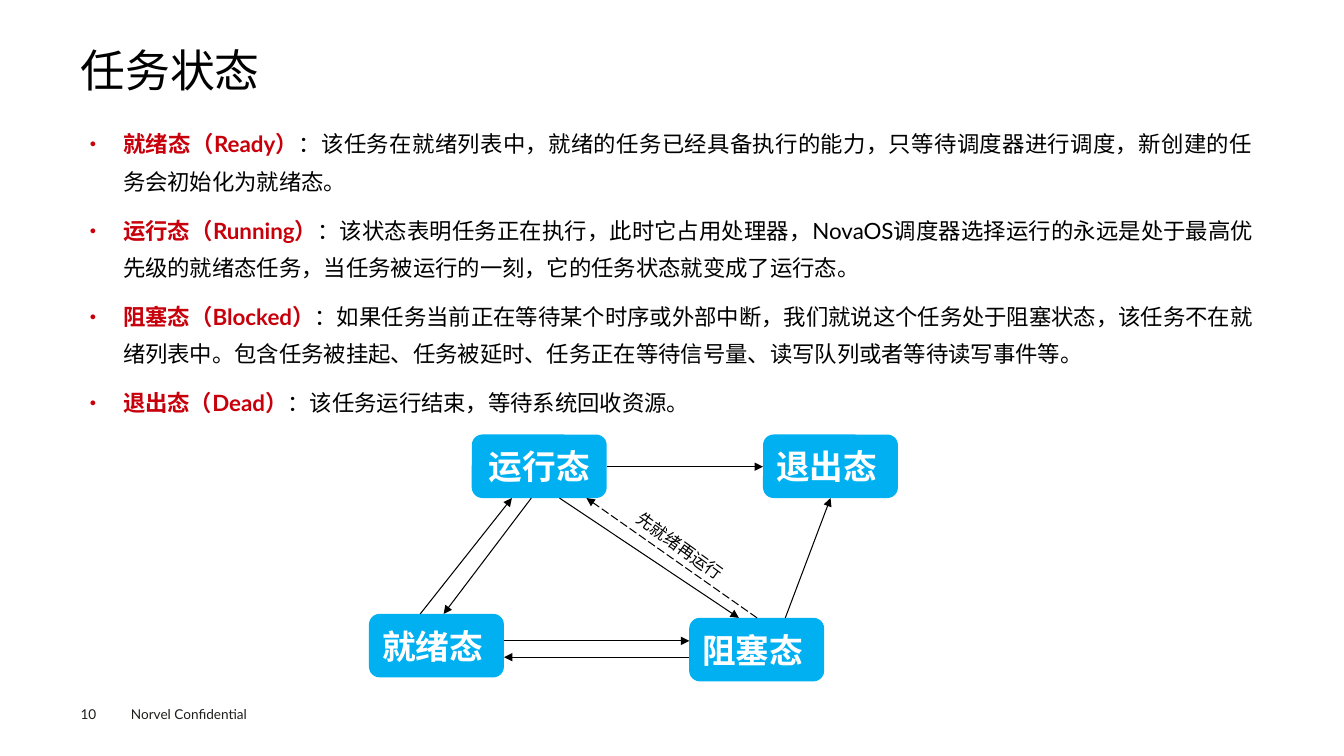
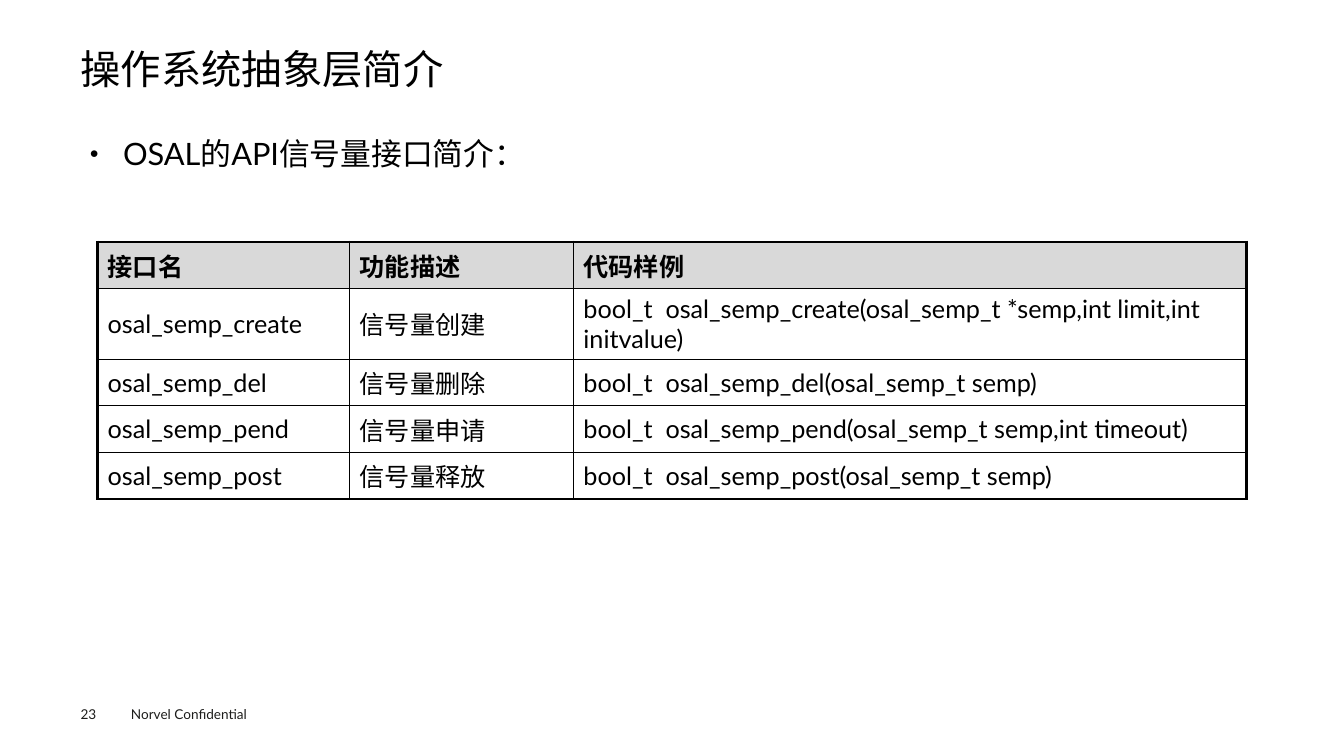
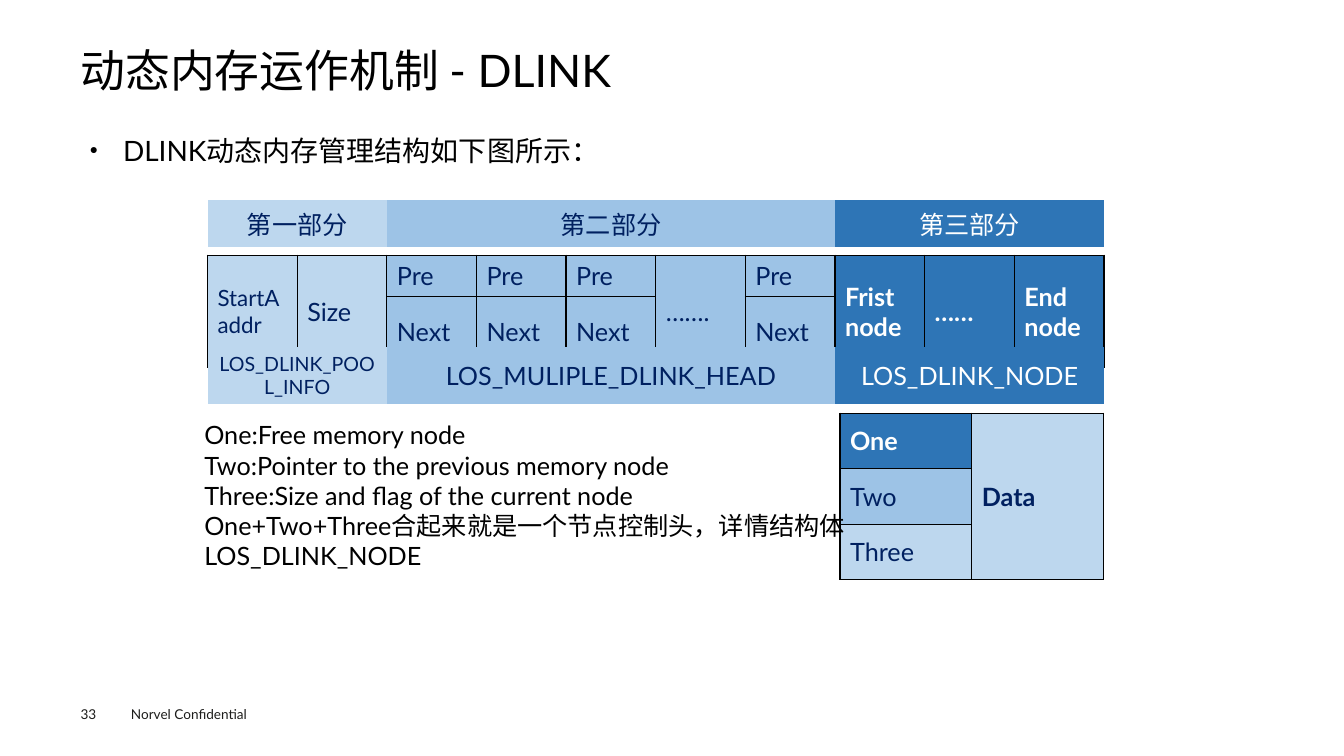
import dataclasses

import lxml.etree
import pptx
import pptx.dml.color
import pptx.enum.dml
import pptx.enum.shapes
import pptx.enum.text
import pptx.oxml.ns
import pptx.util

Cm = pptx.util.Cm
Pt = pptx.util.Pt
RGBColor = pptx.dml.color.RGBColor
PP_ALIGN = pptx.enum.text.PP_ALIGN
MSO_ANCHOR = pptx.enum.text.MSO_ANCHOR
qn = pptx.oxml.ns.qn

BLACK = RGBColor(0x00, 0x00, 0x00)
WHITE = RGBColor(0xFF, 0xFF, 0xFF)
INK = RGBColor(0x1D, 0x1D, 0x1B)
RED = RGBColor(0xC7, 0x00, 0x0B)
SKY = RGBColor(0x00, 0xB0, 0xF0)
GREY = RGBColor(0xD9, 0xD9, 0xD9)
NAVY = RGBColor(0x00, 0x20, 0x60)
PALE = RGBColor(0xBD, 0xD7, 0xEE)
MEDIUM = RGBColor(0x9D, 0xC3, 0xE6)
DEEP = RGBColor(0x2E, 0x75, 0xB6)

LATIN_FONT = "Lato"
CJK_FONT = "Noto Sans CJK SC"
PLAIN_TABLE_STYLE = "{2D5ABB26-0587-4C30-8999-92F81FD0307C}"


@dataclasses.dataclass
class Cell:
    text: str
    fill: RGBColor = None
    bold: bool = False
    size: float = 18
    rows: int = 1

    @property
    def color(self):
        return {DEEP: WHITE, PALE: NAVY, MEDIUM: NAVY}.get(self.fill, BLACK)


def child(parent, tag, **attributes):
    return lxml.etree.SubElement(parent, qn(tag), attributes)


class Deck:
    def __init__(self):
        self.presentation = pptx.Presentation()
        self.presentation.slide_width = Cm(33.87)
        self.presentation.slide_height = Cm(19.05)
        self.slide = None

    def start(self, number, title, title_size=32):
        layout = self.presentation.slide_layouts[1]
        self.slide = self.presentation.slides.add_slide(layout)
        heading = self.slide.shapes.title
        frame = self.place(heading, 2.03, 1.24, 29.79, 1.35, (0, 0))
        frame.text = title
        frame.paragraphs[0].line_spacing = 0.9
        self.style(frame, title_size, align=PP_ALIGN.LEFT)
        self.text("Norvel Confidential", 3.05, 17.65, 4.06, 0.69, 9.7, INK)
        self.text(str(number), 2.03, 17.78, 1.4, 0.41, 9.7, INK, margins=(0, 0))

    def place(self, shape, left, top, width, height, margins):
        """Move a text shape and return its frame, ready for text."""
        shape.left, shape.top = Cm(left), Cm(top)
        shape.width, shape.height = Cm(width), Cm(height)
        frame = shape.text_frame
        frame.word_wrap = True
        frame.auto_size = pptx.enum.text.MSO_AUTO_SIZE.NONE
        frame.vertical_anchor = MSO_ANCHOR.TOP
        frame.margin_left = frame.margin_right = Cm(margins[0])
        frame.margin_top = frame.margin_bottom = Cm(margins[1])
        return frame

    def style_run(self, run, size, color, bold, latin=LATIN_FONT):
        run.font.name = latin
        run.font.size = Pt(size)
        run.font.bold = bold
        run.font.color.rgb = color
        child(run.font._element, "a:ea", typeface=CJK_FONT)

    def style(self, frame, size, color=BLACK, bold=False, align=PP_ALIGN.LEFT,
              latin=LATIN_FONT):
        for paragraph in frame.paragraphs:
            paragraph.alignment = align
            for run in paragraph.runs:
                self.style_run(run, size, color, bold, latin)

    def bullets(self, items, size):
        """Fill the body with (red lead, text) items; the lead may be empty."""
        body = self.slide.placeholders[1]
        frame = self.place(body, 2.03, 2.92, 29.79, 13.56, (0.23, 0.1))
        frame.text = "\n".join(lead for lead, _ in items)
        for paragraph, (_, rest) in zip(frame.paragraphs, items):
            for run in paragraph.runs:
                self.style_run(run, size, RED, True)
            explanation = paragraph.add_run()
            explanation.text = rest
            self.style_run(explanation, size, BLACK, False)
            paragraph.alignment = PP_ALIGN.JUSTIFY
            paragraph.line_spacing = 1.4
            paragraph.space_before = Pt(7.9)
            properties = paragraph._p.get_or_add_pPr()
            properties.set("marL", str(Cm(0.84)))
            properties.set("indent", str(-Cm(0.84)))
            child(properties, "a:buSzPct", val="50000")
            child(properties, "a:buChar", char="●")

    def text(self, words, left, top, width, height, size, color=BLACK,
             margins=(0.25, 0.13), anchor=MSO_ANCHOR.TOP, rotation=0,
             latin=LATIN_FONT):
        box = self.slide.shapes.add_textbox(0, 0, 0, 0)
        frame = self.place(box, left, top, width, height, margins)
        frame.text = words
        frame.vertical_anchor = anchor
        box.rotation = rotation
        self.style(frame, size, color, latin=latin)

    def state(self, name, left, top, align=PP_ALIGN.LEFT):
        box = self.slide.shapes.add_shape(
            pptx.enum.shapes.MSO_SHAPE.ROUNDED_RECTANGLE,
            Cm(left), Cm(top), Cm(3.4), Cm(1.6))
        box.shadow.inherit = False
        box.fill.solid()
        box.fill.fore_color.rgb = SKY
        box.line.fill.background()
        box.text_frame.text = name
        box.text_frame.vertical_anchor = MSO_ANCHOR.MIDDLE
        self.style(box.text_frame, 24, WHITE, True, align, CJK_FONT)

    def arrow(self, start, end, dashed=False):
        connector = self.slide.shapes.add_connector(
            pptx.enum.shapes.MSO_CONNECTOR.STRAIGHT,
            *(Cm(value) for value in start + end))
        connector.line.color.rgb = BLACK
        connector.line.width = Pt(0.75)
        if dashed:
            connector.line.dash_style = pptx.enum.dml.MSO_LINE.LONG_DASH
        child(connector.line._get_or_add_ln(), "a:tailEnd", type="triangle")
        child(connector._element.spPr, "a:effectLst")

    def table(self, left, top, widths, heights, rows, outer=0, inner=0,
              align=PP_ALIGN.LEFT):
        """Draw rows of Cells; None stands for a place spanned from above."""
        table = self.slide.shapes.add_table(
            len(heights), len(widths), Cm(left), Cm(top),
            Cm(sum(widths)), Cm(sum(heights))).table
        table.first_row = table.horz_banding = False
        table._tbl.tblPr.find(qn("a:tableStyleId")).text = PLAIN_TABLE_STYLE
        for column, width in zip(table.columns, widths):
            column.width = Cm(width)
        for row, height in zip(table.rows, heights):
            row.height = Cm(height)
        last_row, last_column = len(heights) - 1, len(widths) - 1
        for y, row in enumerate(rows):
            for x, content in enumerate(row):
                cell = table.cell(y, x)
                if outer:
                    edges = {"L": x == 0, "R": x == last_column,
                             "T": y == 0, "B": y == last_row}
                    self.borders(cell, {side: outer if at_edge else inner
                                        for side, at_edge in edges.items()})
                if content:
                    self.fill_cell(cell, content, align)
                    if content.rows > 1:
                        cell.merge(table.cell(y + content.rows - 1, x))

    def borders(self, cell, widths):
        properties = cell._tc.get_or_add_tcPr()
        for side, width in widths.items():
            line = child(properties, "a:ln" + side, w=str(Pt(width)))
            child(child(line, "a:solidFill"), "a:srgbClr", val=str(BLACK))

    def fill_cell(self, cell, content, align):
        if content.fill:
            cell.fill.solid()
            cell.fill.fore_color.rgb = content.fill
        else:
            cell.fill.background()
        cell.vertical_anchor = MSO_ANCHOR.MIDDLE
        cell.text_frame.text = content.text
        self.style(cell.text_frame, content.size, content.color, content.bold, align)


def task_states(deck):
    deck.start(10, "任务状态")
    deck.bullets([
        ("就绪态（Ready）", "：该任务在就绪列表中，就绪的任务已经具备执行的能力，"
         "只等待调度器进行调度，新创建的任务会初始化为就绪态。"),
        ("运行态（Running）", "：该状态表明任务正在执行，此时它占用处理器，"
         "NovaOS调度器选择运行的永远是处于最高优先级的就绪态任务，"
         "当任务被运行的一刻，它的任务状态就变成了运行态。"),
        ("阻塞态（Blocked）", "：如果任务当前正在等待某个时序或外部中断，"
         "我们就说这个任务处于阻塞状态，该任务不在就绪列表中。"
         "包含任务被挂起、任务被延时、任务正在等待信号量、读写队列或者等待读写事件等。"),
        ("退出态（Dead）", "：该任务运行结束，等待系统回收资源。"),
    ], 16)

    deck.state("运行态", 11.89, 10.95, PP_ALIGN.CENTER)
    deck.state("阻塞态", 17.37, 15.57)
    deck.state("就绪态", 9.3, 15.47)
    deck.state("退出态", 19.23, 10.95)
    for start, end in [
        ((14.1, 12.55), (18.62, 15.57)),
        ((13.39, 12.55), (11.18, 15.47)),
        ((10.59, 15.47), (12.9, 12.55)),
        ((19.79, 15.57), (20.93, 12.55)),
        ((12.7, 16.15), (17.37, 16.15)),
        ((17.37, 16.56), (12.7, 16.56)),
        ((15.29, 11.76), (19.23, 11.76)),
    ]:
        deck.arrow(start, end)
    deck.arrow((19.08, 15.57), (14.78, 12.55), dashed=True)
    deck.text("先就绪再运行", 15.32, 13.36, 3.3, 1.7, 12, rotation=35.9,
              latin=CJK_FONT)


def semaphore_interfaces(deck):
    deck.start(23, "操作系统抽象层简介", 28.8)
    deck.bullets([("", "OSAL的API信号量接口简介：")], 22)
    header = [Cell(name, GREY, True) for name in ("接口名", "功能描述", "代码样例")]
    interfaces = [
        ("create", "信号量创建", "osal_semp_t *semp,int limit,int initvalue"),
        ("del", "信号量删除", "osal_semp_t semp"),
        ("pend", "信号量申请", "osal_semp_t semp,int timeout"),
        ("post", "信号量释放", "osal_semp_t semp"),
    ]
    rows = [[Cell(f"osal_semp_{action}"), Cell(purpose),
             Cell(f"bool_t  osal_semp_{action}({arguments})")]
            for action, purpose, arguments in interfaces]
    deck.table(2.46, 6.1, [6.35, 5.64, 16.97], [1.04] * 5, [header] + rows,
               outer=2.25, inner=1)


def dynamic_memory(deck):
    deck.start(33, "动态内存运作机制 - DLINK")
    deck.bullets([("", "DLINK动态内存管理结构如下图所示：")], 20)

    left, unit = 5.23, 2.26
    part_widths = [unit * cells for cells in (2, 5, 3)]
    previous, following = Cell("Pre", MEDIUM), Cell("Next", MEDIUM)
    upper = [
        Cell("StartA\naddr", PALE, size=16, rows=2), Cell("Size", PALE, rows=2),
        previous, previous, previous, Cell("…….", MEDIUM, rows=2), previous,
        Cell("Frist\nnode", DEEP, True, rows=2), Cell("……", DEEP, True, rows=2),
        Cell("End\nnode", DEEP, True, rows=2),
    ]
    lower = [following if cell is previous else None for cell in upper]
    deck.table(left, 6.43, [unit] * 10, [1.04, 1.8], [upper, lower], 1, 1)

    deck.table(left, 5.05, part_widths, [1.18], [[
        Cell("第一部分", PALE), Cell("第二部分", MEDIUM), Cell("第三部分", DEEP),
    ]], align=PP_ALIGN.CENTER)
    deck.table(left, 8.74, part_widths, [1.45], [[
        Cell("LOS_DLINK_POOL_INFO", PALE, size=14),
        Cell("LOS_MULIPLE_DLINK_HEAD", MEDIUM), Cell("LOS_DLINK_NODE", DEEP),
    ]], align=PP_ALIGN.CENTER)

    deck.table(21.17, 10.41, [3.32] * 2, [1.4] * 3, [
        [Cell("One", DEEP, True), Cell("Data", PALE, True, rows=3)],
        [Cell("Two", MEDIUM), None],
        [Cell("Three", PALE), None],
    ], 1, 1)
    deck.text("One:Free memory node\n"
              "Two:Pointer to the previous memory node\n"
              "Three:Size and flag of the current node\n"
              "One+Two+Three合起来就是一个节点控制头，详情结构体LOS_DLINK_NODE",
              4.9, 9.47, 16.66, 6.02, 18, anchor=MSO_ANCHOR.MIDDLE)


def main():
    deck = Deck()
    task_states(deck)
    semaphore_interfaces(deck)
    dynamic_memory(deck)
    deck.presentation.save("out.pptx")


if __name__ == "__main__":
    main()
